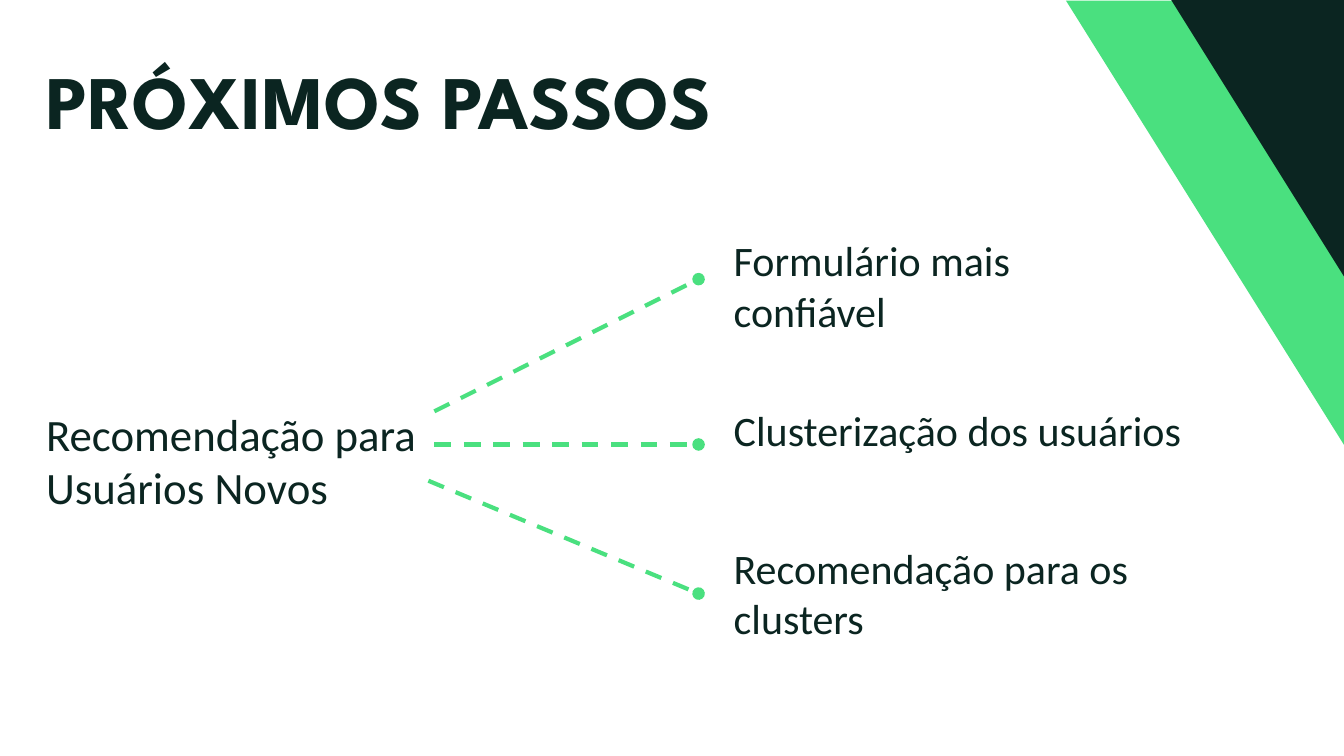
from lxml import etree
from pptx import Presentation
from pptx.dml.color import RGBColor
from pptx.enum.dml import MSO_LINE
from pptx.enum.shapes import MSO_CONNECTOR, MSO_SHAPE
from pptx.enum.text import MSO_ANCHOR, MSO_AUTO_SIZE, PP_ALIGN
from pptx.oxml.ns import qn
from pptx.util import Pt

GREEN = RGBColor(0x4A, 0xE0, 0x7F)
DARK = RGBColor(0x0B, 0x25, 0x21)
WHITE = RGBColor(0xFF, 0xFF, 0xFF)
STRIPE = MSO_SHAPE.DIAGONAL_STRIPE
CORNER = MSO_SHAPE.RIGHT_TRIANGLE
STRAIGHT = MSO_CONNECTOR.STRAIGHT
DASH = MSO_LINE.DASH
TOP = MSO_ANCHOR.TOP
LEFT = PP_ALIGN.LEFT
FIXED = MSO_AUTO_SIZE.NONE

EDGE = 25.9      # left edge of title and topic
STEP_X = 517     # left edge of the steps
TIP_X = 499      # right end of the links

# Step text, top, width, height, then link start x, start y, end y
STEPS = [
    ("Formulário mais confiável", 164.2, 320.4, 80, 310.3, 293.8, 199.4),
    ("Clusterização dos usuários", 285.1, 354.2, 44, 310.3, 317.5, 317.5),
    ("Recomendação para os clusters", 383.8, 368, 80, 306, 343.4, 424),
]


def place(shape, box):
    shape.left, shape.top, shape.width, shape.height = map(Pt, box)


def write(shape, text, size, face="Calibri", bold=False):
    frame = shape.text_frame
    frame.text = text
    frame.word_wrap = True
    frame.auto_size = FIXED
    frame.vertical_anchor = TOP
    para = frame.paragraphs[0]
    para.alignment = LEFT
    font = para.runs[0].font
    font.name, font.size, font.bold = face, Pt(size), bold
    font.color.rgb = DARK


def add_label(slide, text, box, size):
    label = slide.shapes.add_textbox(*map(Pt, box))
    write(label, text, size)


def add_block(slide, kind, box, turn, color):
    block = slide.shapes.add_shape(kind, *map(Pt, box))
    block.rotation = turn
    block.shadow.inherit = False
    block.fill.solid()
    block.fill.fore_color.rgb = color
    block.line.fill.background()
    return block


def add_link(slide, x1, y1, x2, y2):
    link = slide.shapes.add_connector(STRAIGHT, *map(Pt, (x1, y1, x2, y2)))
    link.line.color.rgb = GREEN
    link.line.width = Pt(3)
    link.line.dash_style = DASH
    # Round dot at the far end, no shadow
    props = link.element.spPr
    etree.SubElement(props.find(qn("a:ln")), qn("a:tailEnd"), type="oval")
    etree.SubElement(props, qn("a:effectLst"))


def main():
    deck = Presentation()
    deck.slide_width, deck.slide_height = Pt(960), Pt(540)
    slide = deck.slides.add_slide(deck.slide_layouts[5])
    slide.background.fill.solid()
    slide.background.fill.fore_color.rgb = WHITE

    # Corner decoration
    band = add_block(slide, STRIPE, (702, 59.8, 317.5, 198.7), 90, GREEN)
    band.adjustments[0] = 0.373
    add_block(slide, CORNER, (836.6, 0, 124.6, 199.4), 180, DARK)

    # Title
    title = slide.shapes.title
    place(title, (EDGE, 34.6, 720, 72.7))
    write(title, "PRÓXIMOS PASSOS", 54, "League Spartan", True)

    # Topic and the steps that follow from it
    add_label(slide, "Recomendação para Usuários Novos",
              (EDGE, 286.6, 280, 85), 32)
    for text, top, width, height, x, start, end in STEPS:
        add_link(slide, x, start, TIP_X, end)
        add_label(slide, text, (STEP_X, top, width, height), 30)

    deck.save("out.pptx")


main()
